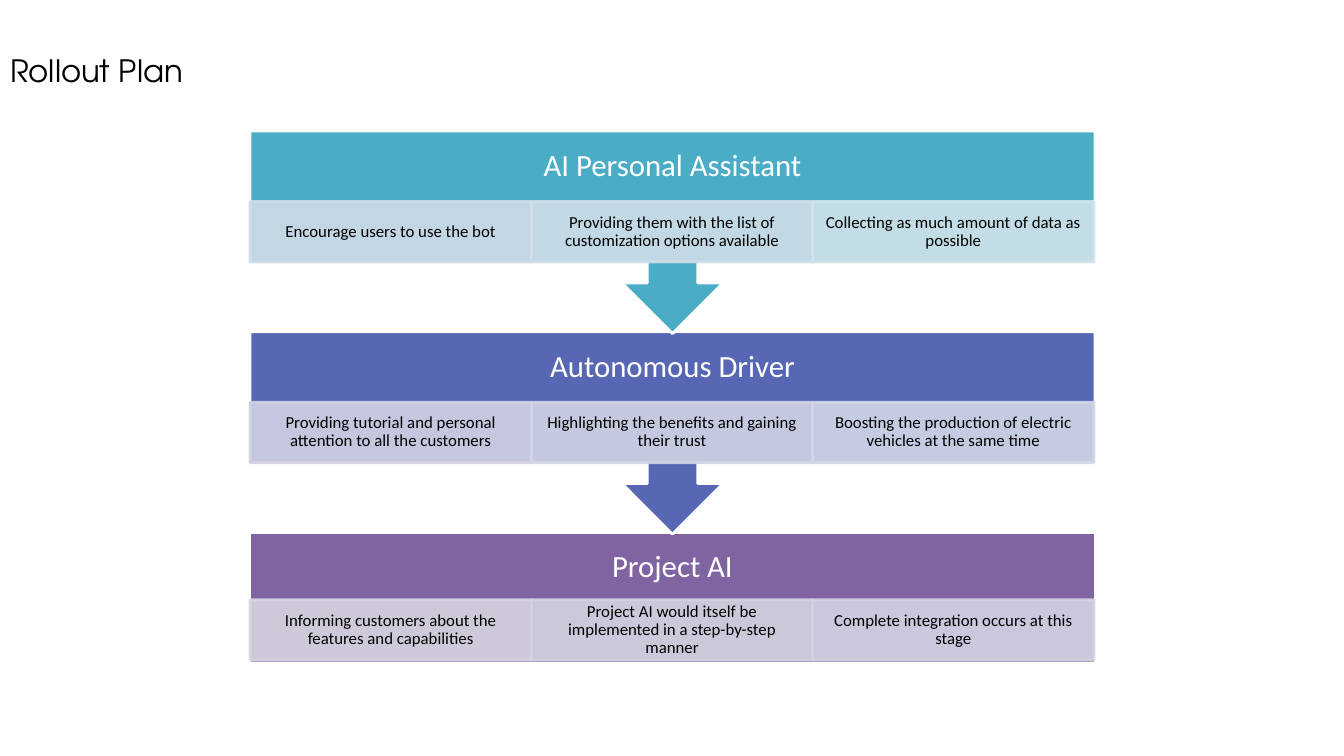
import dataclasses

import lxml.etree
import pptx
import pptx.dml.color
import pptx.dml.fill
import pptx.enum.shapes
import pptx.enum.text
import pptx.oxml.ns
import pptx.shapes.autoshape
import pptx.shapes.group
import pptx.slide
import pptx.util

EMU_PER_PX = 9144
LEFT = 248
STAGE_WIDTH = 838
STAGE_HEIGHT = 130
CALLOUT_HEIGHT = 201
FIRST_TOP = 130
STAGE_PITCH = 199
HEADING_HEIGHT = 70
TILE_WIDTH = 279
TILE_HEIGHT = 60


@dataclasses.dataclass(frozen=True)
class Theme:
    white: str = "FFFFFF"
    black: str = "000000"
    title_font: str = "TeX Gyre Adventor"
    body_font: str = "Calibri"
    heading_size: int = 22
    tile_size: int = 12
    line_width: int = 2
    tile_opacity: int = 90


@dataclasses.dataclass(frozen=True)
class Tile:
    text: str
    color: str


@dataclasses.dataclass(frozen=True)
class Stage:
    name: str
    color: str
    tiles: tuple[Tile, ...]
    tile_offset: int = HEADING_HEIGHT


@dataclasses.dataclass(frozen=True)
class Insets:
    side: int
    top: int
    bottom: int


THEME = Theme()

STAGES = (
    Stage("AI Personal Assistant", "4BACC6", (
        Tile("Encourage users to use the bot", "D0DBE8"),
        Tile("Providing them with the list of customization options available", "D0DEE9"),
        Tile("Collecting as much amount of data as possible", "D0E3EA"),
    )),
    Stage("Autonomous Driver", "5767B4", (
        Tile("Providing tutorial and personal attention to all the customers", "D2D2E4"),
        Tile("Highlighting the benefits and gaining their trust", "D1D4E5"),
        Tile("Boosting the production of electric vehicles at the same time", "D1D7E7"),
    )),
    Stage("Project AI", "8064A2", (
        Tile("Informing customers about the features and capabilities", "D8D3E0"),
        Tile("Project AI would itself be implemented in a step-by-step manner", "D6D2E1"),
        Tile("Complete integration occurs at this stage", "D4D2E3"),
    ), tile_offset=67),
)


def px(length: int) -> pptx.util.Emu:
    return pptx.util.Emu(length * EMU_PER_PX)


def rgb(color: str) -> pptx.dml.color.RGBColor:
    return pptx.dml.color.RGBColor.from_string(color)


def paint(shape: pptx.shapes.autoshape.Shape, fill: str, line: str, opacity: int = 100) -> None:
    shape.shadow.inherit = False
    shape.fill.solid()
    shape.fill.fore_color.rgb = rgb(fill)
    shape.line.color.rgb = rgb(line)
    shape.line.width = pptx.util.Pt(THEME.line_width)
    if opacity < 100:
        for color in shape.element.spPr.iter(pptx.oxml.ns.qn("a:srgbClr")):
            alpha = lxml.etree.SubElement(color, pptx.oxml.ns.qn("a:alpha"))
            alpha.set("val", str(opacity * 1000))


def write(shape: pptx.shapes.autoshape.Shape, text: str, size: int, color: str, insets: Insets) -> None:
    frame = shape.text_frame
    frame.word_wrap = True
    frame.vertical_anchor = pptx.enum.text.MSO_ANCHOR.MIDDLE
    frame.margin_left = frame.margin_right = px(insets.side)
    frame.margin_top = px(insets.top)
    frame.margin_bottom = px(insets.bottom)
    para = frame.paragraphs[0]
    para.text = text
    para.alignment = pptx.enum.text.PP_ALIGN.CENTER
    para.line_spacing = 0.9
    para.font.name = THEME.body_font
    para.font.size = pptx.util.Pt(size)
    para.font.color.rgb = rgb(color)


def draw_title(page: pptx.slide.Slide, text: str) -> None:
    title = page.shapes.title
    title.left, title.top, title.width, title.height = px(0), px(46), px(1065), px(59)
    frame = title.text_frame
    frame.auto_size = pptx.enum.text.MSO_AUTO_SIZE.NONE
    frame.vertical_anchor = pptx.enum.text.MSO_ANCHOR.TOP
    para = frame.paragraphs[0]
    para.text = text
    para.alignment = pptx.enum.text.PP_ALIGN.LEFT
    para.font.name = THEME.title_font
    para.font.size = pptx.util.Pt(THEME.heading_size)
    para.font.color.rgb = rgb(THEME.black)


def draw_stage(group: pptx.shapes.group.GroupShape, stage: Stage, top: int, is_last: bool) -> None:
    kinds = pptx.enum.shapes.MSO_SHAPE
    kind = kinds.RECTANGLE if is_last else kinds.DOWN_ARROW_CALLOUT
    height = STAGE_HEIGHT if is_last else CALLOUT_HEIGHT
    block = group.shapes.add_shape(kind, px(LEFT), px(top), px(STAGE_WIDTH), px(height))
    paint(block, stage.color, THEME.white)
    heading_insets = Insets(17, 17, STAGE_HEIGHT - HEADING_HEIGHT + 17)
    write(block, stage.name, THEME.heading_size, THEME.white, heading_insets)
    for column, tile in enumerate(stage.tiles):
        box = group.shapes.add_shape(
            kinds.RECTANGLE,
            px(LEFT + column * TILE_WIDTH),
            px(top + stage.tile_offset),
            px(TILE_WIDTH),
            px(TILE_HEIGHT),
        )
        paint(box, tile.color, tile.color, THEME.tile_opacity)
        write(box, tile.text, THEME.tile_size, THEME.black, Insets(9, 2, 2))


def main() -> None:
    deck = pptx.Presentation()
    deck.slide_width, deck.slide_height = px(1333), px(750)
    page = deck.slides.add_slide(deck.slide_layouts.get_by_name("Title Only"))
    draw_title(page, "Rollout Plan")
    group = page.shapes.add_group_shape()
    for row, stage in reversed(list(enumerate(STAGES))):
        draw_stage(group, stage, FIRST_TOP + row * STAGE_PITCH, row == len(STAGES) - 1)
    deck.save("out.pptx")


if __name__ == "__main__":
    main()
